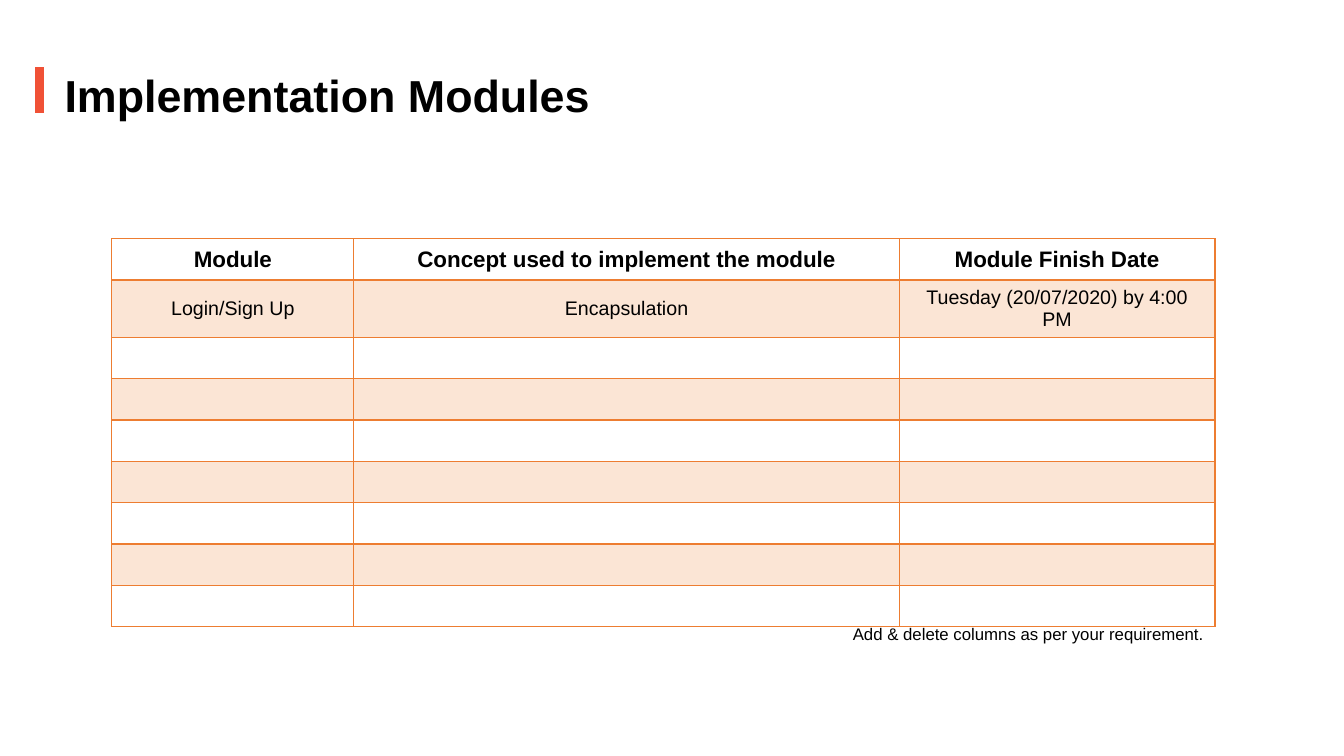
from lxml import etree
from pptx import Presentation
from pptx.dml.color import RGBColor
from pptx.enum import shapes, text
from pptx.oxml import ns
from pptx.util import Inches, Pt

BLACK = RGBColor(0x00, 0x00, 0x00)
WHITE = RGBColor(0xFF, 0xFF, 0xFF)
RED = RGBColor(0xF0, 0x51, 0x36)
ORANGE = RGBColor(0xED, 0x7D, 0x31)

HEADINGS = ["Module", "Concept used to implement the module", "Module Finish Date"]
FIRST_MODULE = ["Login/Sign Up", "Encapsulation", "Tuesday (20/07/2020) by 4:00 PM"]
EMPTY_ROWS = 7
COLUMN_WIDTHS = [2.4, 5.41, 3.13]
ROW_HEIGHT = 0.41


def write(frame, words, size, bold=False, align=text.PP_ALIGN.LEFT):
    paragraph = frame.paragraphs[0]
    paragraph.alignment = align
    run = paragraph.add_run()
    run.text = words
    run.font.name = "Arial"
    run.font.size = Pt(size)
    run.font.bold = bold
    run.font.color.rgb = BLACK


def place(shape, left, top, width, height):
    shape.left, shape.top = Inches(left), Inches(top)
    shape.width, shape.height = Inches(width), Inches(height)


def fit_to_text(frame):
    """Keep the text on one line, at the top of a box that grows with it."""
    frame.word_wrap = False
    frame.auto_size = text.MSO_AUTO_SIZE.SHAPE_TO_FIT_TEXT
    frame.vertical_anchor = text.MSO_ANCHOR.TOP


def add_heading(slide):
    accent = slide.shapes.add_shape(
        shapes.MSO_SHAPE.RECTANGLE, Inches(0.34), Inches(0.66), Inches(0.1), Inches(0.47))
    accent.shadow.inherit = False
    accent.fill.solid()
    accent.fill.fore_color.rgb = RED
    accent.line.color.rgb = WHITE
    accent.line.width = Pt(1)

    title = slide.shapes.title
    place(title, 0.54, 0.62, 5.71, 0.64)
    fit_to_text(title.text_frame)
    write(title.text_frame, "Implementation Modules", size=32, bold=True)


def add_color(parent, color):
    fill = etree.SubElement(parent, ns.qn("a:solidFill"))
    return etree.SubElement(fill, ns.qn("a:srgbClr"), val=str(color))


def set_borders(cell, widths):
    """Draw the cell's edges; widths gives points for each of L, R, T, B."""
    properties = cell._tc.get_or_add_tcPr()
    for position, (side, width) in enumerate(widths.items()):
        edge = etree.Element(ns.qn(f"a:ln{side}"), w=str(Pt(width)))
        add_color(edge, ORANGE)
        properties.insert(position, edge)


def tint(cell):
    color = add_color(cell._tc.get_or_add_tcPr(), ORANGE)
    etree.SubElement(color, ns.qn("a:alpha"), val="20000")


def add_modules_table(slide):
    rows = [HEADINGS, FIRST_MODULE] + [[""] * len(HEADINGS)] * EMPTY_ROWS
    table = slide.shapes.add_table(
        len(rows), len(HEADINGS), Inches(1.11), Inches(2.37),
        Inches(sum(COLUMN_WIDTHS)), Inches(ROW_HEIGHT * len(rows))).table
    for column, width in zip(table.columns, COLUMN_WIDTHS):
        column.width = Inches(width)

    for r, entries in enumerate(rows):
        table.rows[r].height = Inches(ROW_HEIGHT)
        for c, entry in enumerate(entries):
            cell = table.cell(r, c)
            cell.vertical_anchor = text.MSO_ANCHOR.MIDDLE
            if r % 2:
                tint(cell)
            else:
                cell.fill.background()
            set_borders(cell, {"L": 1, "R": 1, "T": 2 if r == 1 else 1,
                               "B": 2 if r == 0 else 1})
            if entry:
                write(cell.text_frame, entry, size=14 if r else 16, bold=r == 0,
                      align=text.PP_ALIGN.CENTER)


def add_hint(slide):
    hint = slide.shapes.add_textbox(Inches(8.36), Inches(6.14), Inches(3.91), Inches(0.3))
    fit_to_text(hint.text_frame)
    write(hint.text_frame, "Add & delete columns as per your requirement.", size=12)


def main():
    deck = Presentation()
    deck.slide_width, deck.slide_height = Inches(13.33), Inches(7.5)
    slide = deck.slides.add_slide(deck.slide_layouts[5])
    add_heading(slide)
    add_modules_table(slide)
    add_hint(slide)
    deck.save("out.pptx")


if __name__ == "__main__":
    main()
